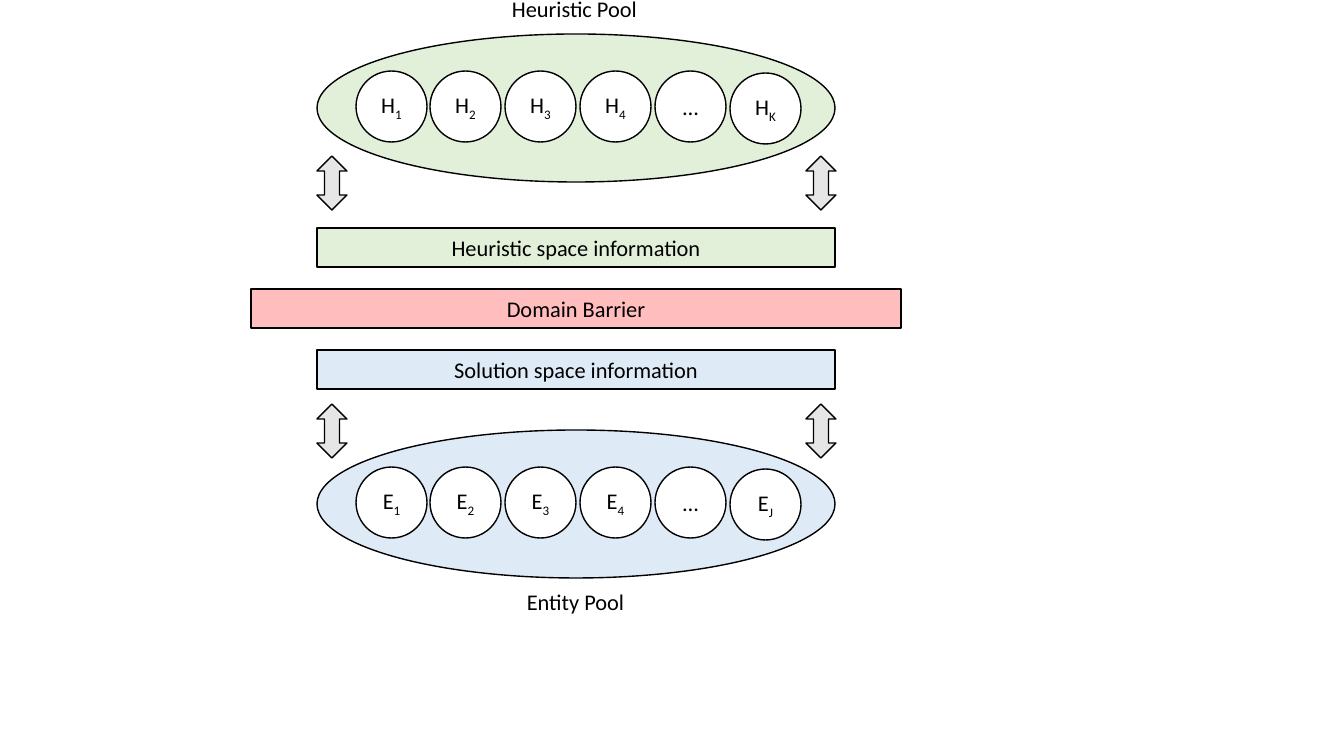
import pptx
import pptx.util
import pptx.dml.color
import pptx.enum.shapes
import pptx.enum.text
import pptx.oxml.ns
import lxml.etree

SCALE = 914400 / 100.8
KIND = pptx.enum.shapes.MSO_SHAPE
GREEN, BLUE, RED = "E2F0D9", "DEEBF7", "FF0000"
GREY, WHITE, BLACK = "E7E6E6", "FFFFFF", "000000"


def px(length):
    return pptx.util.Emu(round(length * SCALE))


def color(code):
    return pptx.dml.color.RGBColor.from_string(code)


class Diagram:
    font = "Calibri"
    size = pptx.util.Pt(16)
    line = pptx.util.Pt(1)

    def __init__(self, slide):
        self.shapes = slide.shapes

    def caption(self, frame, text, subscript=""):
        frame.margin_left = frame.margin_right = 0
        frame.margin_top = frame.margin_bottom = 0
        frame.vertical_anchor = pptx.enum.text.MSO_ANCHOR.MIDDLE
        frame.text = text
        paragraph = frame.paragraphs[0]
        paragraph.alignment = pptx.enum.text.PP_ALIGN.CENTER
        if subscript:
            index = paragraph.add_run()
            index.text = subscript
            index._r.get_or_add_rPr().set("baseline", "-25000")
        for run in paragraph.runs:
            run.font.name = self.font
            run.font.size = self.size
            run.font.color.rgb = color(BLACK)

    def shape(self, kind, box, fill, text="", subscript="", opacity=100):
        shape = self.shapes.add_shape(kind, *map(px, box))
        shape.shadow.inherit = False
        shape.fill.solid()
        shape.fill.fore_color.rgb = color(fill)
        shape.line.color.rgb = color(BLACK)
        shape.line.width = self.line
        if opacity < 100:
            tint = shape._element.spPr.find(".//" + pptx.oxml.ns.qn("a:srgbClr"))
            alpha = lxml.etree.SubElement(tint, pptx.oxml.ns.qn("a:alpha"))
            alpha.set("val", str(opacity * 1000))
        if text:
            self.caption(shape.text_frame, text, subscript)

    def label(self, box, text):
        frame = self.shapes.add_textbox(*map(px, box)).text_frame
        frame.word_wrap = False
        self.caption(frame, text)

    def pool(self, top, fill, letter, last):
        self.shape(KIND.OVAL, (317, top, 518, 148), fill)
        members = [(letter, str(i)) for i in range(1, 5)] + [("…", ""), (letter, last)]
        for i, (name, subscript) in enumerate(members):
            drop = 39 if subscript == last else 37
            box = (356 + i * 374 // 5, top + drop, 71, 71)
            self.shape(KIND.OVAL, box, WHITE, name, subscript)

    def arrows(self, top):
        for left in (317, 806):
            self.shape(KIND.UP_DOWN_ARROW, (left, top, 30, 54), GREY)


presentation = pptx.Presentation()
presentation.slide_width = px(1344)
presentation.slide_height = px(756)
diagram = Diagram(presentation.slides.add_slide(presentation.slide_layouts[6]))

diagram.pool(34, GREEN, "H", "K")
diagram.pool(430, BLUE, "E", "J")

layers = [
    ("Heuristic space information", 317, 518, GREEN, 100),
    ("Domain Barrier", 251, 650, RED, 26),
    ("Solution space information", 317, 518, BLUE, 100),
]
for row, (text, left, width, fill, opacity) in enumerate(layers):
    box = (left, 228 + 61 * row, width, 39)
    diagram.shape(KIND.RECTANGLE, box, fill, text, opacity=opacity)

for top in (156, 404):
    diagram.arrows(top)

diagram.label((501, -10, 147, 37), "Heuristic Pool")
diagram.label((516, 583, 119, 37), "Entity Pool")

presentation.save("out.pptx")
